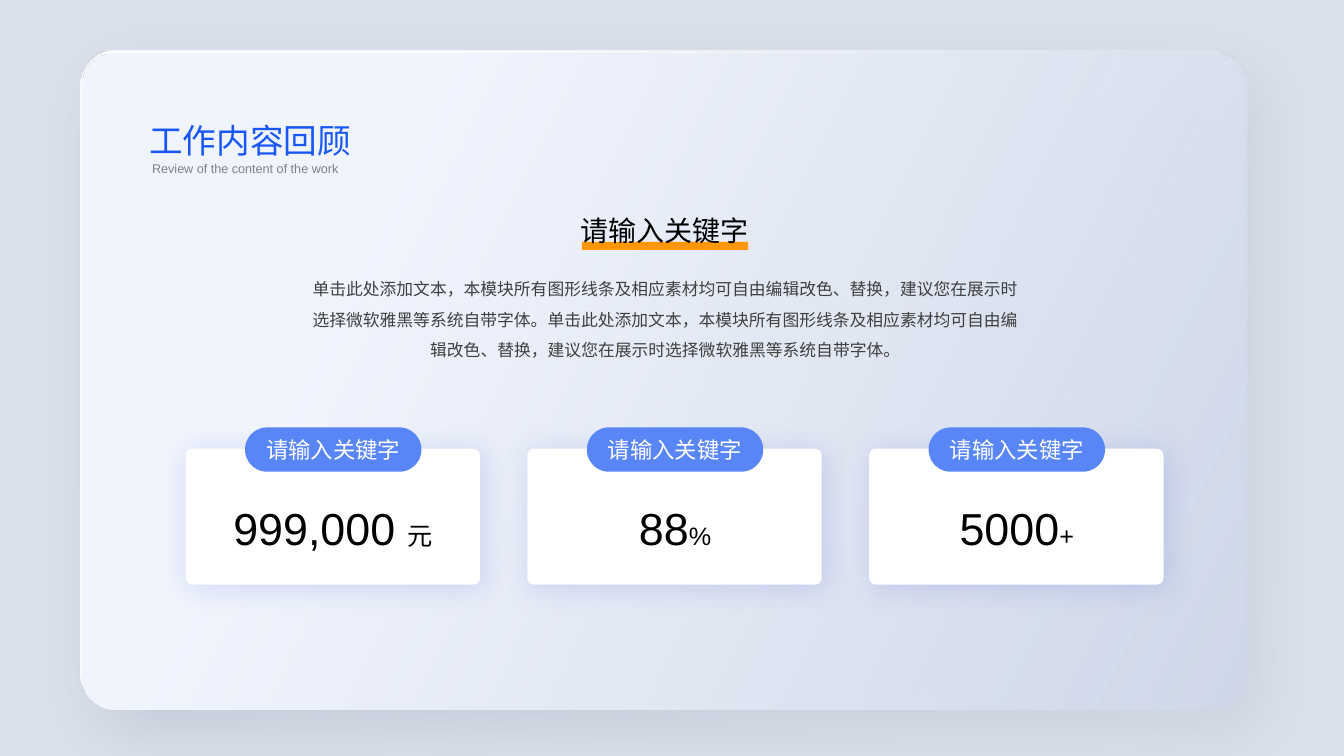
import pptx
import pptx.util
import pptx.dml.color
import pptx.enum.shapes
import pptx.enum.text
import pptx.oxml
import pptx.oxml.ns

PX = 9144  # 100 px to the inch
RGB = pptx.dml.color.RGBColor.from_string
KIND = pptx.enum.shapes.MSO_SHAPE
ALIGN = pptx.enum.text.PP_ALIGN
ANCHOR = pptx.enum.text.MSO_ANCHOR

THEME = {
    "font": "Arial",
    "back": "DBE1EA", "card": "FFFFFF", "pill": "5986F7", "mark": "FF9800",
    "rim": (("FFFFFF", 25, 100), ("CFD8E9", 99, 68)),
    "pane": (("F0F4FD", 25, 100), ("CFD8E9", 99, 78)),
    "deep": ("324274", 13, 45, 21, 53),
    "soft": ("1D32CC", 15, 20, 3, 45),
    "title": (24, "1857F6"), "sub": (9, "808080"), "head": (20, "000000"),
    "body": (12, "404040"), "label": (16, "FFFFFF"),
    "value": (32, "000000"), "unit": (18, "000000"),
}


def block(kind, box, fill, bend=None, shade=None):
    """Add a shape; fill is a colour or (colour, position, alpha) stops,
    shade is (colour, alpha, blur, distance, angle)."""
    shape = slide.shapes.add_shape(kind, *(n * PX for n in box))
    if bend is not None:
        shape.adjustments[0] = bend
    if isinstance(fill, str):
        shape.fill.solid()
        shape.fill.fore_color.rgb = RGB(fill)
    else:
        shape.fill.gradient()
        shape.fill.gradient_angle = 334
        for stop, (tint, place, alpha) in zip(shape.fill.gradient_stops, fill):
            stop.color.rgb = RGB(tint)
            stop.position = place / 100
        tints = shape.element.xpath(".//a:gs/a:srgbClr")
        for node, (tint, place, alpha) in zip(tints, fill):
            node.append(pptx.oxml.parse_xml(
                f'<a:alpha {pptx.oxml.ns.nsdecls("a")} val="{alpha * 1000}"/>'))
    shape.line.fill.background()
    shape.shadow.inherit = False
    if shade:
        tint, alpha, blur, dist, turn = shade
        shape.element.xpath("./p:spPr/a:effectLst")[0].append(pptx.oxml.parse_xml(
            f'<a:outerShdw {pptx.oxml.ns.nsdecls("a")} blurRad="{blur * 12700}" '
            f'dist="{dist * 12700}" dir="{turn * 60000}" algn="tl" rotWithShape="0">'
            f'<a:srgbClr val="{tint}"><a:alpha val="{alpha * 1000}"/></a:srgbClr>'
            '</a:outerShdw>'))
    return shape


def write(shape, parts, align=ALIGN.CENTER, lead=1.0, **frame):
    """Fill a shape with one paragraph of (text, style name) parts."""
    form = {"word_wrap": True, "auto_size": pptx.enum.text.MSO_AUTO_SIZE.NONE,
            "vertical_anchor": ANCHOR.TOP} | frame
    for key, val in form.items():
        setattr(shape.text_frame, key, val)
    para = shape.text_frame.paragraphs[0]
    para.alignment, para.line_spacing = align, lead
    for text, style in parts:
        run = para.add_run()
        run.text = text
        size, tint = THEME[style]
        look = {"name": THEME["font"], "size": pptx.util.Pt(size), "bold": False}
        for key, val in look.items():
            setattr(run.font, key, val)
        run.font.color.rgb = RGB(tint)


deck = pptx.Presentation()
deck.slide_width, deck.slide_height = 1333 * PX, 750 * PX
slide = deck.slides.add_slide(deck.slide_layouts[5])

# Backdrop and glass panel
block(KIND.RECTANGLE, (0, 0, 1333, 750), THEME["back"])
block(KIND.ROUNDED_RECTANGLE, (80, 50, 1155, 654), THEME["rim"], 0.055, THEME["deep"])
block(KIND.ROUNDED_RECTANGLE, (82, 53, 1155, 651), THEME["pane"], 0.051)

# Title stands in front of the panel
title = slide.shapes.title
spot = {"left": 138, "top": 114, "width": 237, "height": 50}
for key, val in spot.items():
    setattr(title, key, val * PX)
write(title, [("工作内容回顾", "title")], ALIGN.LEFT)
slide.shapes.element.append(title.element)

# Heading and text
block(KIND.RECTANGLE, (577, 240, 165, 8), THEME["mark"])
KEY = "请输入关键字"
BODY = ("单击此处添加文本，本模块所有图形线条及相应素材均可自由编辑改色、替换，"
        "建议您在展示时选择微软雅黑等系统自带字体。")
notes = [
    ((141, 155, 220, 25), "Review of the content of the work", "sub", ALIGN.LEFT, 1.0),
    ((556, 207, 207, 44), KEY, "head", ALIGN.CENTER, 1.0),
    ((292, 262, 736, 101), BODY * 2, "body", ALIGN.CENTER, 1.5),
]
for box, text, style, align, lead in notes:
    write(slide.shapes.add_textbox(*(n * PX for n in box)), [(text, style)], align, lead)

# Cards at equal steps
for i, (value, unit) in enumerate([("999,000 ", "元"), ("88", "%"), ("5000", "+")]):
    left = 184 + 339 * i
    block(KIND.ROUNDED_RECTANGLE, (left, 445, 292, 135), THEME["card"], 0.049, THEME["soft"])
    figure = slide.shapes.add_textbox(*(n * PX for n in (left + 26, 492, 241, 64)))
    write(figure, [(value, "value"), (unit, "unit")])
    pill = block(KIND.ROUNDED_RECTANGLE, (left + 59, 424, 175, 44), THEME["pill"], 0.5)
    write(pill, [(KEY, "label")], vertical_anchor=ANCHOR.MIDDLE,
          margin_left=0, margin_right=0, margin_top=0, margin_bottom=0)

deck.save("out.pptx")
